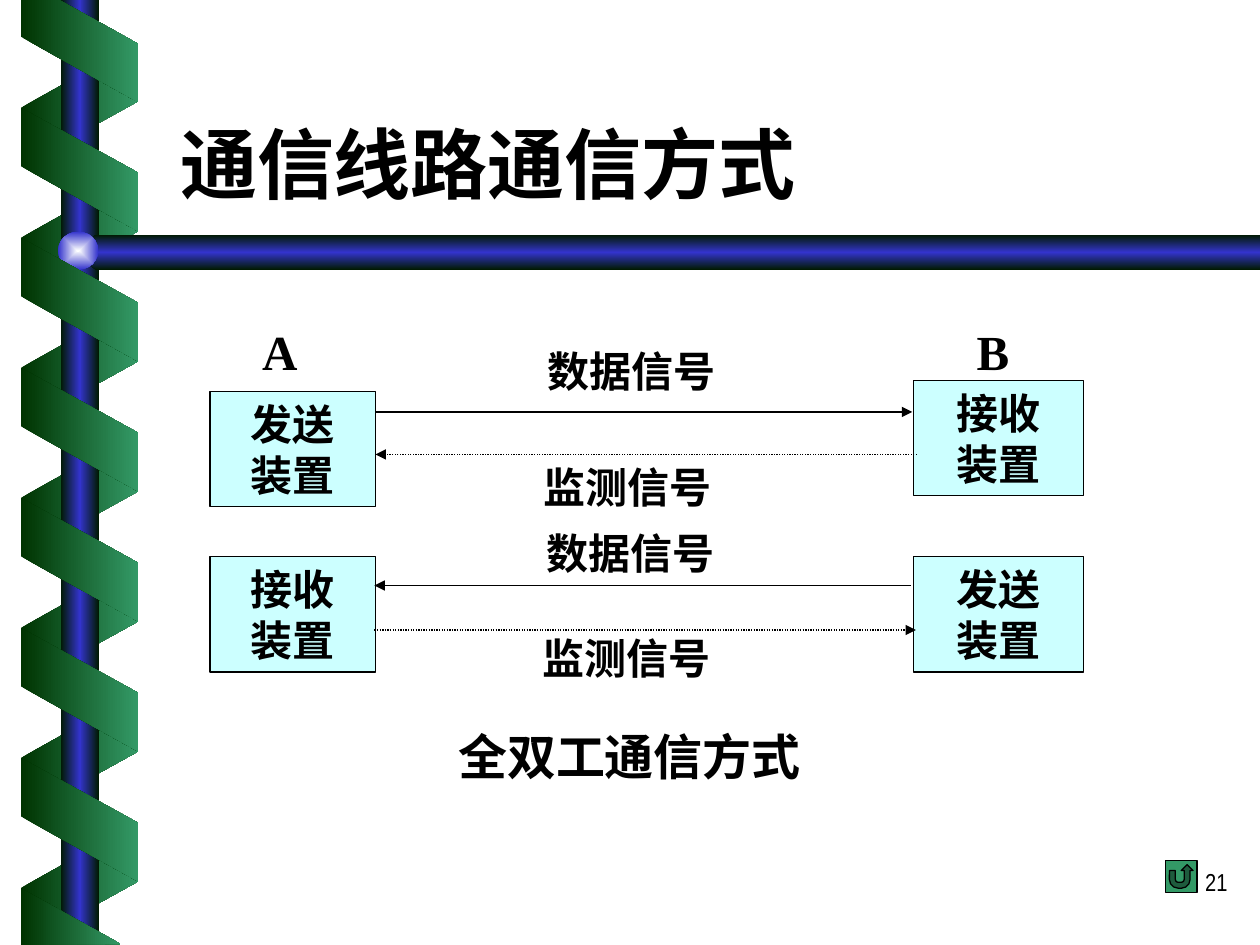
"""Build the slide on full-duplex communication between stations A and B."""
from pptx import Presentation
from pptx.dml.color import RGBColor
from pptx.enum.dml import MSO_LINE
from pptx.enum.shapes import MSO_CONNECTOR, MSO_SHAPE
from pptx.enum.text import MSO_ANCHOR, PP_ALIGN
from pptx.oxml.ns import qn
from pptx.util import Pt
from lxml.etree import SubElement

BLACK = RGBColor(0x00, 0x00, 0x00)
CYAN = RGBColor(0xCC, 0xFF, 0xFF)
GREEN = RGBColor(0x33, 0x99, 0x66)
DARK_GREEN = RGBColor(0x00, 0x33, 0x00)
BLUE = RGBColor(0x33, 0x33, 0xCC)
NAVY = RGBColor(0x00, 0x1A, 0x00)
PEARL = RGBColor(0xFE, 0xFF, 0xFF)

RIBBON_STOPS = [(0, DARK_GREEN), (100, GREEN)]
BAR_STOPS = [(0, NAVY), (50, BLUE), (100, NAVY)]
BALL_STOPS = [(0, PEARL), (100, BLUE)]
SERIF = "Times New Roman"
NARROW = "Arial Narrow"

TITLE = ("通信线路通信方式", (95.8, 33.1, 612, 90))
PAGE_NUMBER = ("21", (558.7, 491.8, 149.8, 36))
LABELS = [
    ("A", 28, (132.5, 183.6, 54.7, 40.3)),
    ("B", 28, (540, 183.6, 54.7, 40.3)),
    ("数据信号", 24, (269, 197.3, 183.6, 40.3)),
    ("监测信号", 24, (266.6, 263.5, 183.6, 40.3)),
    ("数据信号", 24, (268.6, 301.5, 183.6, 40.3)),
    ("监测信号", 24, (266.4, 361.2, 183.6, 40.3)),
    ("全双工通信方式", 28, (149.8, 415.4, 419.8, 40.3)),
]
DEVICES = [
    (["发送", "装置"], (120, 223.6, 94.8, 66)),
    (["接收", "装置"], (522, 217.4, 97, 66)),
    (["接收", "装置"], (120, 318, 94.8, 66)),
    (["发送", "装置"], (522, 318, 97, 66)),
]
ARROWS = [
    (214.6, 521.3, 235.4, MSO_LINE.SOLID),
    (524, 214.6, 259.7, MSO_LINE.ROUND_DOT),
    (520.6, 214, 334.6, MSO_LINE.SOLID),
    (214, 523.4, 360, MSO_LINE.ROUND_DOT),
]

RIBBON_LEFT, RIBBON_RIGHT = 12, 78.8
RIBBON_PITCH, RIBBON_DROP, RIBBON_DEPTH = 74.3, 37.1, 33.4
BACK_TOP, BACK_COUNT = 24.5, 7
FRONT_TOP, FRONT_COUNT = 61.6, 6
FRONT_ENDS = [
    [(12, 0), (12, 21), (78.8, 58.3), (78.8, 25), (34, 0)],
    [(69, 539.5), (12, 507.6), (12, 540)],
]
CROSSBAR = [(720, 134.2), (54.7, 134.2), (43.2, 144), (54.7, 154.2), (720, 154.2)]


def fill_gradient(shape, stops, angle=0, from_center=False):
    shape.shadow.inherit = False
    shape.line.fill.background()
    shape.fill.gradient()
    shape.fill.gradient_angle = angle
    gradient = shape._element.spPr.find(qn("a:gradFill"))
    stop_list = gradient.find(qn("a:gsLst"))
    for stop in list(stop_list):
        stop_list.remove(stop)
    for position, color in stops:
        stop = SubElement(stop_list, qn("a:gs"), pos=str(position * 1000))
        SubElement(stop, qn("a:srgbClr"), val=str(color))
    if from_center:
        gradient.remove(gradient.find(qn("a:lin")))
        focus = SubElement(gradient, qn("a:path"), path="rect")
        sides = {side: "50000" for side in "ltrb"}
        SubElement(focus, qn("a:fillToRect"), **sides)


def add_polygon(slide, points, stops, angle=0):
    corners = [(Pt(x), Pt(y)) for x, y in points]
    builder = slide.shapes.build_freeform(*corners[0], scale=1.0)
    builder.add_line_segments(corners[1:], close=True)
    fill_gradient(builder.convert_to_shape(), stops, angle)


def add_ribbon_bands(slide, first_top, count, left_drop, right_drop):
    for index in range(count):
        top = first_top + index * RIBBON_PITCH
        left_top, right_top = top + left_drop, top + right_drop
        add_polygon(slide, [
            (RIBBON_LEFT, left_top),
            (RIBBON_RIGHT, right_top),
            (RIBBON_RIGHT, right_top + RIBBON_DEPTH),
            (RIBBON_LEFT, left_top + RIBBON_DEPTH),
        ], RIBBON_STOPS)


def add_preset(slide, preset, box):
    shape = slide.shapes.add_shape(preset, *map(Pt, box))
    shape.shadow.inherit = False
    return shape


def write_text(shape, lines, size, margins=(0, 0), align=PP_ALIGN.CENTER,
               anchor=MSO_ANCHOR.TOP, font=SERIF, bold=True):
    side, end = map(Pt, margins)
    frame_format = {
        "word_wrap": True, "vertical_anchor": anchor,
        "margin_left": side, "margin_right": side,
        "margin_top": end, "margin_bottom": end,
    }
    font_format = {"name": font, "size": Pt(size), "bold": bold}
    frame = shape.text_frame
    for name, value in frame_format.items():
        setattr(frame, name, value)
    frame.text = "\n".join(lines)
    for paragraph in frame.paragraphs:
        paragraph.alignment = align
        for name, value in font_format.items():
            setattr(paragraph.font, name, value)
        paragraph.font.color.rgb = BLACK


def add_text(slide, text, box, size, **options):
    write_text(slide.shapes.add_textbox(*map(Pt, box)), [text], size, **options)


def outline(shape, color):
    shape.fill.solid()
    shape.fill.fore_color.rgb = color
    shape.line.color.rgb = BLACK
    shape.line.width = Pt(0.75)


def add_arrow(slide, start, end, height, dash):
    connector = slide.shapes.add_connector(
        MSO_CONNECTOR.STRAIGHT, Pt(start), Pt(height), Pt(end), Pt(height))
    connector.line.color.rgb = BLACK
    connector.line.width = Pt(0.75)
    connector.line.dash_style = dash
    properties = connector._element.spPr
    SubElement(properties.find(qn("a:ln")), qn("a:tailEnd"), type="triangle")
    SubElement(properties, qn("a:effectLst"))


def add_decoration(slide):
    add_ribbon_bands(slide, BACK_TOP, BACK_COUNT, RIBBON_DROP, 0)
    post = add_preset(slide, MSO_SHAPE.RECTANGLE, (34.7, 0, 21.8, 540))
    fill_gradient(post, BAR_STOPS)
    add_polygon(slide, CROSSBAR, BAR_STOPS, 90)
    ball = add_preset(slide, MSO_SHAPE.OVAL, (33.2, 132.4, 23, 21.7))
    fill_gradient(ball, BALL_STOPS, from_center=True)
    add_ribbon_bands(slide, FRONT_TOP, FRONT_COUNT, 0, RIBBON_DROP)
    for points in FRONT_ENDS:
        add_polygon(slide, points, RIBBON_STOPS)


def main():
    presentation = Presentation()
    presentation.slide_width, presentation.slide_height = Pt(720), Pt(540)
    slide = presentation.slides.add_slide(presentation.slide_layouts[6])
    add_decoration(slide)
    add_text(slide, *PAGE_NUMBER, 14, margins=(7.2, 3.6),
             align=PP_ALIGN.RIGHT, font=NARROW, bold=False)
    add_text(slide, *TITLE, 44, margins=(7.2, 3.6),
             align=PP_ALIGN.LEFT, anchor=MSO_ANCHOR.BOTTOM)
    for lines, box in DEVICES:
        device = add_preset(slide, MSO_SHAPE.RECTANGLE, box)
        outline(device, CYAN)
        write_text(device, lines, 24, margins=(1.4, 3.6), anchor=MSO_ANCHOR.MIDDLE)
    for text, size, box in LABELS:
        add_text(slide, text, box, size)
    for arrow in ARROWS:
        add_arrow(slide, *arrow)
    button = add_preset(slide, MSO_SHAPE.ACTION_BUTTON_RETURN, (666, 491.8, 18, 18))
    outline(button, GREEN)
    presentation.save("out.pptx")


if __name__ == "__main__":
    main()
